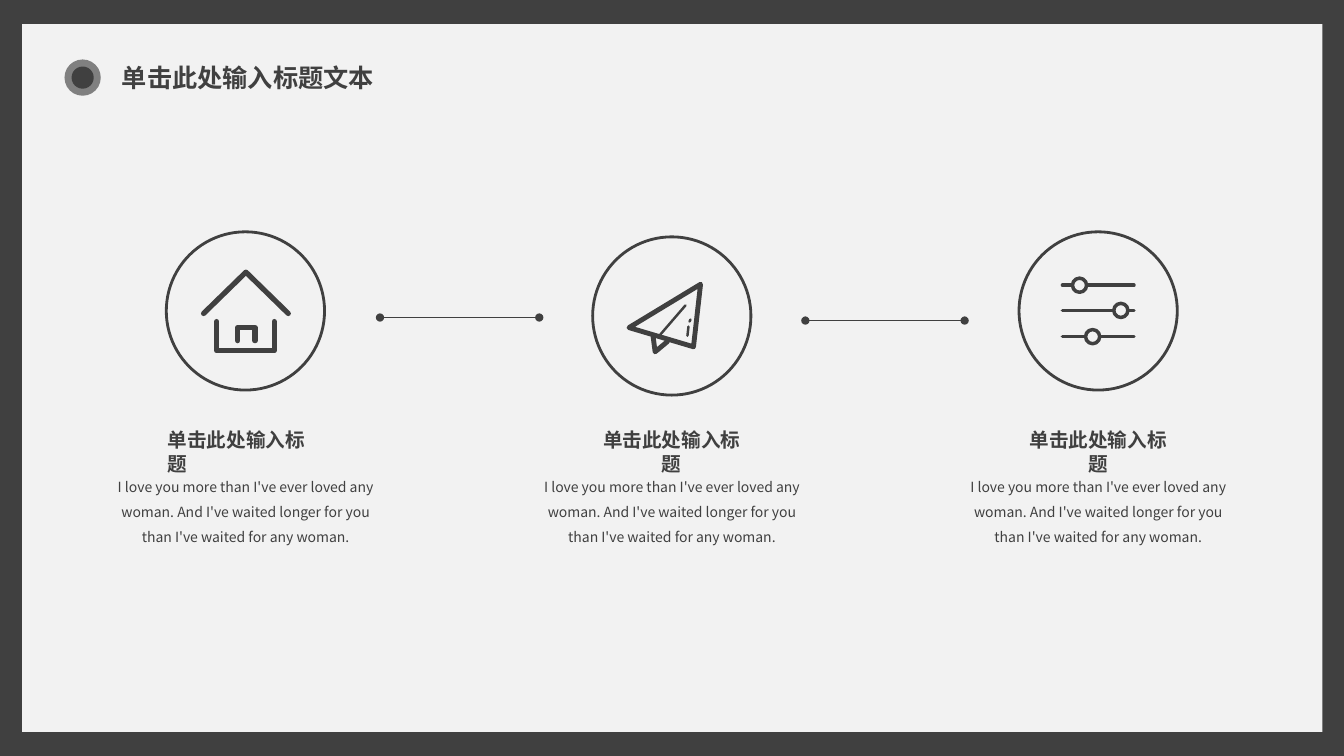
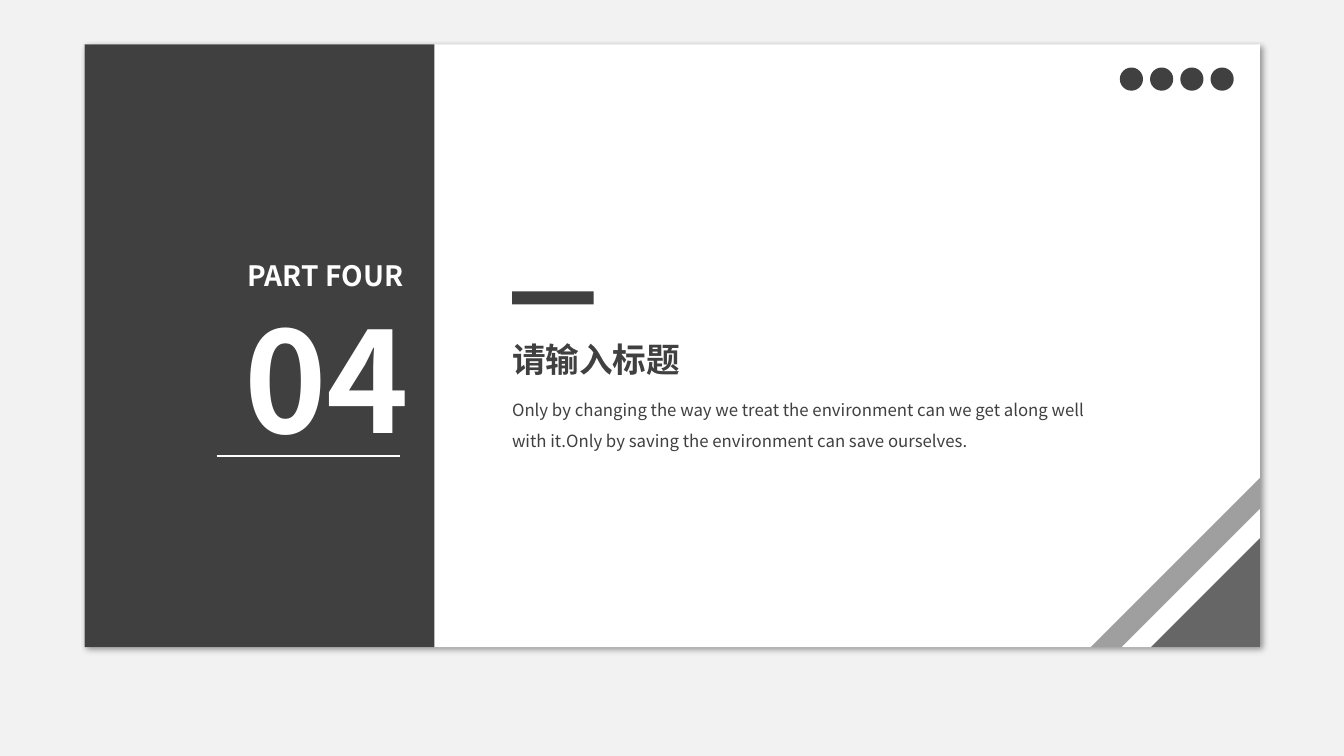
from pptx import Presentation
from pptx.dml.color import RGBColor
from pptx.enum.shapes import MSO_CONNECTOR as Connector, MSO_SHAPE as Preset
from pptx.enum.text import MSO_ANCHOR as Anchor, MSO_AUTO_SIZE as AutoSize, PP_ALIGN as Align
from pptx.oxml.ns import qn
from pptx.util import Pt
from lxml.etree import SubElement

PX = 9144  # 100 px to the inch
DARK, PALE, WHITE, GREY, BLACK = "404040", "F2F2F2", "FFFFFF", "808080", "000000"
FONT = "Noto Sans CJK SC"
ICON_SIZE = 157
HEADING = "单击此处输入标题"
QUOTE = ("I love you more than I've ever loved any woman. And I've waited longer "
         "for you than I've waited for any woman.")


def emu(*lengths):
    return [round(length * PX) for length in lengths]


def paint(fill, color, opacity=100):
    fill.solid()
    fill.fore_color.rgb = RGBColor.from_string(color)
    if opacity < 100:
        for node in fill._xPr.iter(qn("a:srgbClr")):
            SubElement(node, qn("a:alpha")).set("val", str(opacity * 1000))


def outline(shape, color, weight):
    paint(shape.line.fill, color)
    shape.line.width = Pt(weight)


def add_shape(page, preset, box, fill=None, opacity=100, line=None, weight=1):
    shape = page.shapes.add_shape(preset, *emu(*box))
    if fill:
        paint(shape.fill, fill, opacity)
    else:
        shape.fill.background()
    if line:
        outline(shape, line, weight)
    else:
        shape.line.fill.background()
    shape.shadow.inherit = False
    return shape


def add_line(page, start, end, color=DARK, weight=1, dots=False):
    line = page.shapes.add_connector(Connector.STRAIGHT, *emu(*start, *end))
    outline(line, color, weight)
    if dots:
        stroke = line.line._get_or_add_ln()
        for tag in ("a:headEnd", "a:tailEnd"):
            SubElement(stroke, qn(tag)).set("type", "oval")
    SubElement(line.element.spPr, qn("a:effectLst"))
    return line


def add_stroke(page, origin, points, weight, closed=False):
    """Draw a round-capped polyline whose points are relative to origin."""
    builder = page.shapes.build_freeform(*points[0], scale=PX)
    builder.add_line_segments(points[1:], close=closed)
    shape = builder.convert_to_shape(*emu(*origin))
    shape.fill.background()
    outline(shape, DARK, weight)
    stroke = shape.line._get_or_add_ln()
    stroke.set("cap", "rnd")
    SubElement(stroke, qn("a:round"))
    shape.shadow.inherit = False


def write(shape, text, size, color=DARK, bold=False, align=Align.LEFT,
          spacing=None, anchor=Anchor.TOP, wrap=True):
    frame = shape.text_frame
    frame.text = text
    frame.word_wrap = wrap
    frame.auto_size = AutoSize.NONE
    frame.vertical_anchor = anchor
    para = frame.paragraphs[0]
    para.alignment = align
    para.space_before = Pt(0)
    if spacing:
        para.line_spacing = spacing
    font = para.font
    font.size, font.bold, font.name = Pt(size), bold, FONT
    paint(font.fill, color)
    for node in shape.element.iter(qn("a:defRPr")):
        SubElement(node, qn("a:ea")).set("typeface", FONT)


def add_text(page, box, text, size, **style):
    write(page.shapes.add_textbox(*emu(*box)), text, size, **style)


def fill_placeholder(page, index, box, text, size, **style):
    """Move a placeholder in front of the shapes drawn so far and fill it."""
    holder = page.placeholders[index]
    holder.left, holder.top, holder.width, holder.height = emu(*box)
    holder.element.getparent().append(holder.element)
    write(holder, text, size, **style)
    return holder


def add_page(deck, layout, background):
    page = deck.slides.add_slide(deck.slide_layouts[layout])
    paint(page.background.fill, background)
    return page


def house_icon(page, origin):
    roof = [(37, 81), (79, 40), (121, 81)]
    door = [(71, 108), (71, 95), (88, 95), (88, 108)]
    walls = [(50, 89), (50, 118), (107, 118), (107, 89)]
    for points in (roof, door, walls):
        add_stroke(page, origin, points, 3.75)


def plane_icon(page, origin):
    add_stroke(page, origin, [(36, 90), (107, 47), (100, 109)], 3.5, closed=True)
    add_stroke(page, origin, [(60, 99), (62, 114), (74, 104)], 3.5)
    for points in ([(67, 97), (92, 68)], [(97, 82), (96, 84)], [(95, 89), (94, 98)]):
        add_stroke(page, origin, points, 1.75)


def sliders_icon(page, origin):
    left, top = origin
    knob = 14
    for x, y in ((60, 53), (101, 78), (73, 104)):
        add_stroke(page, origin, [(43, y), (114, y)], 2.5)
        add_shape(page, Preset.OVAL, (left + x - knob / 2, top + y - knob / 2, knob, knob),
                  PALE, line=DARK, weight=2.5)


def add_card(page, left, top, draw_icon, heading_align, quote_width):
    """Place a ringed icon with its heading and quote centred below."""
    add_shape(page, Preset.OVAL, (left, top, ICON_SIZE, ICON_SIZE), line=DARK, weight=2)
    draw_icon(page, (left, top))
    center = left + ICON_SIZE / 2
    heading_width = 174
    add_text(page, (center - heading_width / 2, 420, heading_width, 34),
             HEADING, 14, bold=True, align=heading_align)
    add_text(page, (center - quote_width / 2, 461, quote_width, 86),
             QUOTE, 10, align=Align.CENTER, spacing=1.5)


def build_process(deck):
    page = add_page(deck, 5, DARK)
    add_shape(page, Preset.RECTANGLE, (22, 24, 1290, 702), PALE)
    add_shape(page, Preset.OVAL, (64, 59, 36, 36), GREY)
    add_shape(page, Preset.OVAL, (71, 66, 22, 22), DARK)
    fill_placeholder(page, 0, (111, 60, 286, 33), "单击此处输入标题文本", 18,
                     bold=True, anchor=Anchor.MIDDLE, wrap=False)
    cards = ((230, house_icon, Align.LEFT, 279),
             (235, plane_icon, Align.CENTER, 285),
             (230, sliders_icon, Align.CENTER, 286))
    for number, (top, *card) in enumerate(cards):
        add_card(page, 165 + 423 * number, top, *card)
    for x, y in ((377, 315), (799, 318)):
        add_line(page, (x, y), (x + 158, y), dots=True)


def add_panel_shadow(panel):
    effects = panel.element.spPr.find(qn("a:effectLst"))
    shadow = SubElement(effects, qn("a:outerShdw"), blurRad=str(Pt(4)),
                        dist=str(Pt(3)), dir=str(45 * 60000), algn="tl", rotWithShape="0")
    color = SubElement(shadow, qn("a:srgbClr"), val=BLACK)
    SubElement(color, qn("a:alpha"), val="40000")


def add_corner(page, right, bottom):
    """Stack right triangles that share their bottom right corner."""
    for side, color, opacity in ((168, DARK, 50), (137, WHITE, 100), (108, DARK, 80)):
        triangle = add_shape(page, Preset.RIGHT_TRIANGLE,
                             (right - side, bottom - side, side, side), color, opacity)
        triangle.element.spPr.find(qn("a:xfrm")).set("flipH", "1")


def build_section(deck):
    page = add_page(deck, 1, PALE)
    left, top, width, height = 84, 44, 1166, 598
    add_panel_shadow(add_shape(page, Preset.RECTANGLE, (left, top, width, height), WHITE))
    add_shape(page, Preset.RECTANGLE, (left, top, 347, height), DARK)
    add_corner(page, left + width, top + height)
    add_line(page, (215, 452), (397, 452), WHITE, 1.5)
    label = dict(color=WHITE, bold=True, align=Align.RIGHT)
    add_text(page, (210, 286, 206, 178), "04", 100, **label)
    add_text(page, (200, 252, 210, 44), "PART FOUR", 20, **label)
    add_shape(page, Preset.RECTANGLE, (508, 289, 81, 13), DARK)
    for number in range(4):
        add_shape(page, Preset.OVAL, (1111 + 30 * number, 67, 23, 23), DARK)
    fill_placeholder(page, 0, (498, 331, 210, 50), "请输入标题", 24, bold=True)
    body = fill_placeholder(
        page, 1, (498, 382, 614, 68),
        "Only by changing the way we treat the environment can we get along well "
        "with it.Only by saving the environment can save ourselves.", 12, spacing=1.5)
    for settings in body.element.iter(qn("a:pPr")):
        settings.set("marL", "0")
        settings.set("indent", "0")
        settings.find(qn("a:defRPr")).addprevious(SubElement(settings, qn("a:buNone")))


def main():
    deck = Presentation()
    deck.slide_width, deck.slide_height = emu(1333.33, 750)
    build_process(deck)
    build_section(deck)
    deck.save("out.pptx")


if __name__ == "__main__":
    main()
